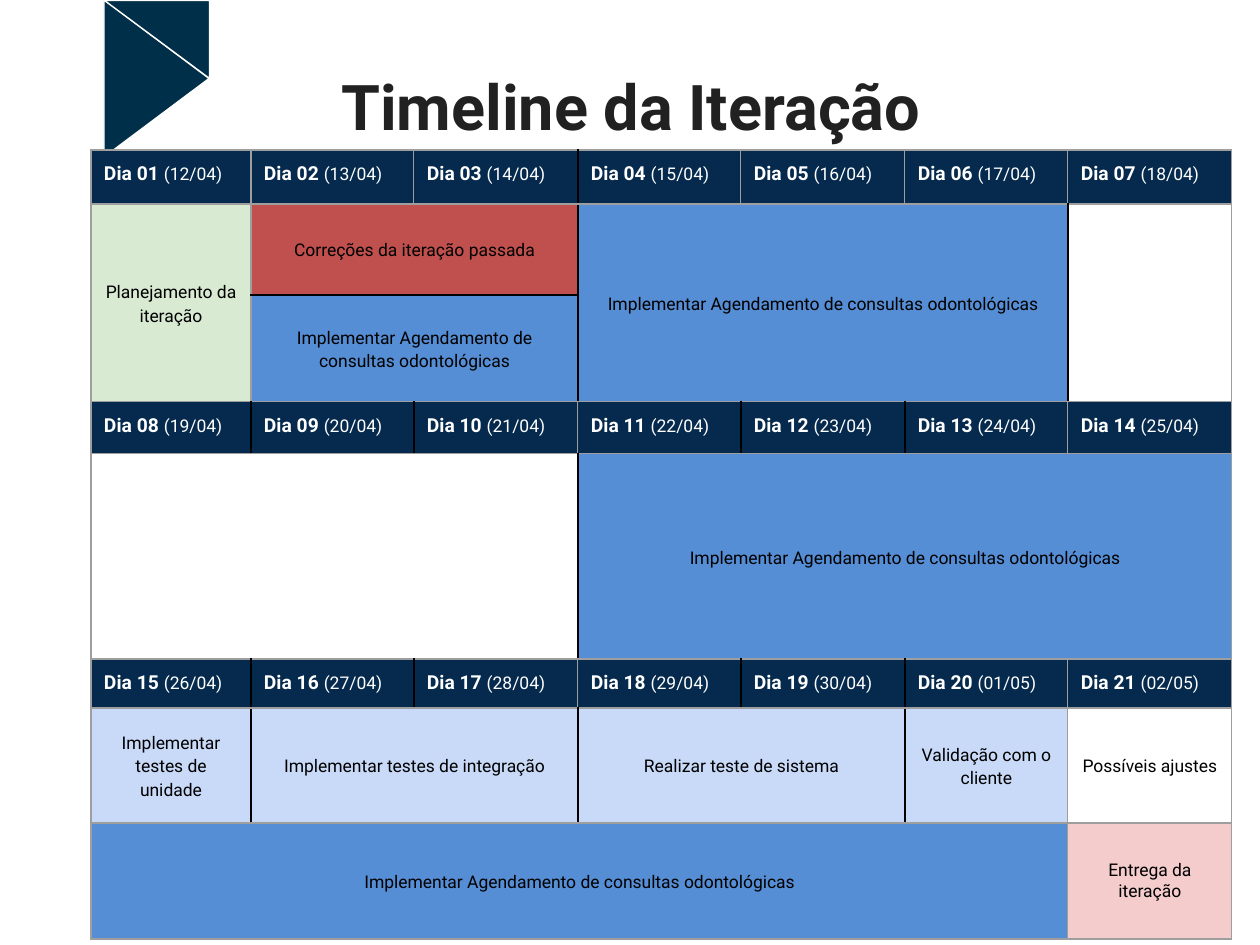
from lxml import etree
from pptx import Presentation
from pptx.dml.color import RGBColor
from pptx.enum.shapes import MSO_SHAPE
from pptx.enum.text import MSO_ANCHOR, PP_ALIGN
from pptx.oxml.ns import qn
from pptx.util import Pt

PX = 914400 / 126
TRI, RIGHT_TRI = MSO_SHAPE.ISOSCELES_TRIANGLE, MSO_SHAPE.RIGHT_TRIANGLE
TOP, MID, LOW = MSO_ANCHOR.TOP, MSO_ANCHOR.MIDDLE, MSO_ANCHOR.BOTTOM
LEFT, CENTER = PP_ALIGN.LEFT, PP_ALIGN.CENTER

WHITE = RGBColor(0xFF, 0xFF, 0xFF)
BLACK = RGBColor(0, 0, 0)
GRAY = RGBColor(0x9E, 0x9E, 0x9E)
INK = RGBColor(0x21, 0x21, 0x21)
TEAL = RGBColor(0x00, 0x30, 0x49)
NAVY = RGBColor(0x05, 0x2A, 0x4D)
BLUE = RGBColor(0x55, 0x8E, 0xD5)
PALE = RGBColor(0xC9, 0xDA, 0xF8)
GREEN = RGBColor(0xD9, 0xEA, 0xD3)
RED = RGBColor(0xC0, 0x50, 0x4D)
PINK = RGBColor(0xF4, 0xCC, 0xCC)

COLS = [160] + [163, 164] * 3
WORK = "Implementar Agendamento de consultas odontológicas"

# Sides with a black border, for each day of a week
FIRST = ["", "", "r", "l", "", "", ""]
LATER = ["r", "lr", "l", "r", "lr", "l", ""]

# Row, column, rows spanned, columns spanned, text, fill, black sides
EARLY = [
    (1, 0, 2, 1, "Planejamento da iteração", GREEN, ""),
    (1, 1, 1, 2, "Correções da iteração passada", RED, "rb"),
    (1, 3, 2, 3, WORK, BLUE, "lr"),
    (1, 6, 2, 1, "", WHITE, "l"),
    (2, 1, 1, 2, WORK, BLUE, "tr"),
    (4, 0, 1, 3, "", WHITE, "r"),
    (4, 3, 1, 4, WORK, BLUE, "l"),
]
FINAL = [
    (1, 0, 1, 1, "Implementar testes de unidade", PALE, "r"),
    (1, 1, 1, 2, "Implementar testes de integração", PALE, "lr"),
    (1, 3, 1, 2, "Realizar teste de sistema", PALE, "lr"),
    (1, 5, 1, 1, "Validação com o cliente", PALE, "l"),
    (1, 6, 1, 1, "Possíveis ajustes", WHITE, ""),
    (2, 0, 1, 6, WORK, BLUE, ""),
    (2, 6, 1, 1, "Entrega da iteração", PINK, ""),
]


def px(n):
    return round(n * PX)


class Deck:
    face = "Roboto"

    def __init__(self, wide, high):
        self.prs = Presentation()
        self.prs.slide_width, self.prs.slide_height = px(wide), px(high)
        self.slide = self.prs.slides.add_slide(self.prs.slide_layouts[5])

    def font(self, font, size, color, bold=False):
        font.name, font.size, font.bold = self.face, Pt(size), bold
        font.color.rgb = color

    def title(self, text, x, y, w, h):
        box = self.slide.shapes.title
        box.left, box.top, box.width, box.height = map(px, (x, y, w, h))
        frame = box.text_frame
        frame.text, frame.vertical_anchor = text, LOW
        para = frame.paragraphs[0]
        para.alignment = CENTER
        self.font(para.font, 36, INK, True)

    def shape(self, kind, x, y, w, h, turn, flip=False):
        item = self.slide.shapes.add_shape(kind, *map(px, (x, y, w, h)))
        item.rotation = turn
        item.shadow.inherit = False
        item.fill.solid()
        item.fill.fore_color.rgb = TEAL
        item.line.color.rgb, item.line.width = WHITE, Pt(0.75)
        if flip:
            item._element.spPr.xfrm.set("flipH", "1")

    def table(self, x, y, rows):
        box = self.slide.shapes.add_table(
            len(rows), len(COLS), px(x), px(y), px(sum(COLS)), px(sum(rows)))
        grid = box.table
        grid.first_row = grid.horz_banding = False
        for col, wide in zip(grid.columns, COLS):
            col.width = px(wide)
        for row, high in zip(grid.rows, rows):
            row.height = px(high)
        return grid

    def cell(self, cell, fill, dark, anchor):
        props = cell._tc.get_or_add_tcPr()
        for side in "lrtb":
            wide, color = (1, BLACK) if side in dark else (0.75, GRAY)
            line = etree.SubElement(props, qn("a:ln" + side.upper()), w=str(Pt(wide)))
            solid = etree.SubElement(line, qn("a:solidFill"))
            etree.SubElement(solid, qn("a:srgbClr"), val=str(color))
        cell.fill.solid()
        cell.fill.fore_color.rgb = fill
        cell.margin_left = cell.margin_right = px(13)
        cell.margin_top = cell.margin_bottom = px(13)
        cell.vertical_anchor = anchor

    def week(self, grid, row, start, sides):
        for col, dark in enumerate(sides):
            day = start + col
            date, month = (day + 11, 4) if day < 20 else (day - 19, 5)
            cell = grid.cell(row, col)
            self.cell(cell, NAVY, dark, TOP)
            para = cell.text_frame.paragraphs[0]
            para.alignment = LEFT
            for text, size, bold in ((f"Dia {day:02} ", 11, True),
                                     (f"({date:02}/{month:02})", 10, False)):
                run = para.add_run()
                run.text = text
                self.font(run.font, size, WHITE, bold)

    def tasks(self, grid, items):
        for row, col, tall, wide, text, fill, dark in items:
            head = grid.cell(row, col)
            for r in range(row, row + tall):
                for c in range(col, col + wide):
                    self.cell(grid.cell(r, c), fill, dark, MID)
            if tall * wide > 1:
                head.merge(grid.cell(row + tall - 1, col + wide - 1))
            if text:
                para = head.text_frame.paragraphs[0]
                para.text, para.alignment = text, CENTER
                para.line_spacing = 1.0 if fill == PINK else 1.15
                self.font(para.font, 10, BLACK)


def main():
    deck = Deck(1260, 945)

    # Corner ribbon and title
    deck.shape(TRI, 78, 26, 157, 105, 90)
    deck.shape(RIGHT_TRI, 118, -13, 78, 105, 270, flip=True)
    deck.title("Timeline da Iteração", 106, 43, 1050, 106)

    # First two weeks
    grid = deck.table(91, 150, [54, 91, 107, 52, 206])
    deck.week(grid, 0, 1, FIRST)
    deck.week(grid, 3, 8, LATER)
    deck.tasks(grid, EARLY)

    # Last week
    grid = deck.table(91, 659, [49, 115, 116])
    deck.week(grid, 0, 15, LATER)
    deck.tasks(grid, FINAL)

    deck.prs.save("out.pptx")


if __name__ == "__main__":
    main()
